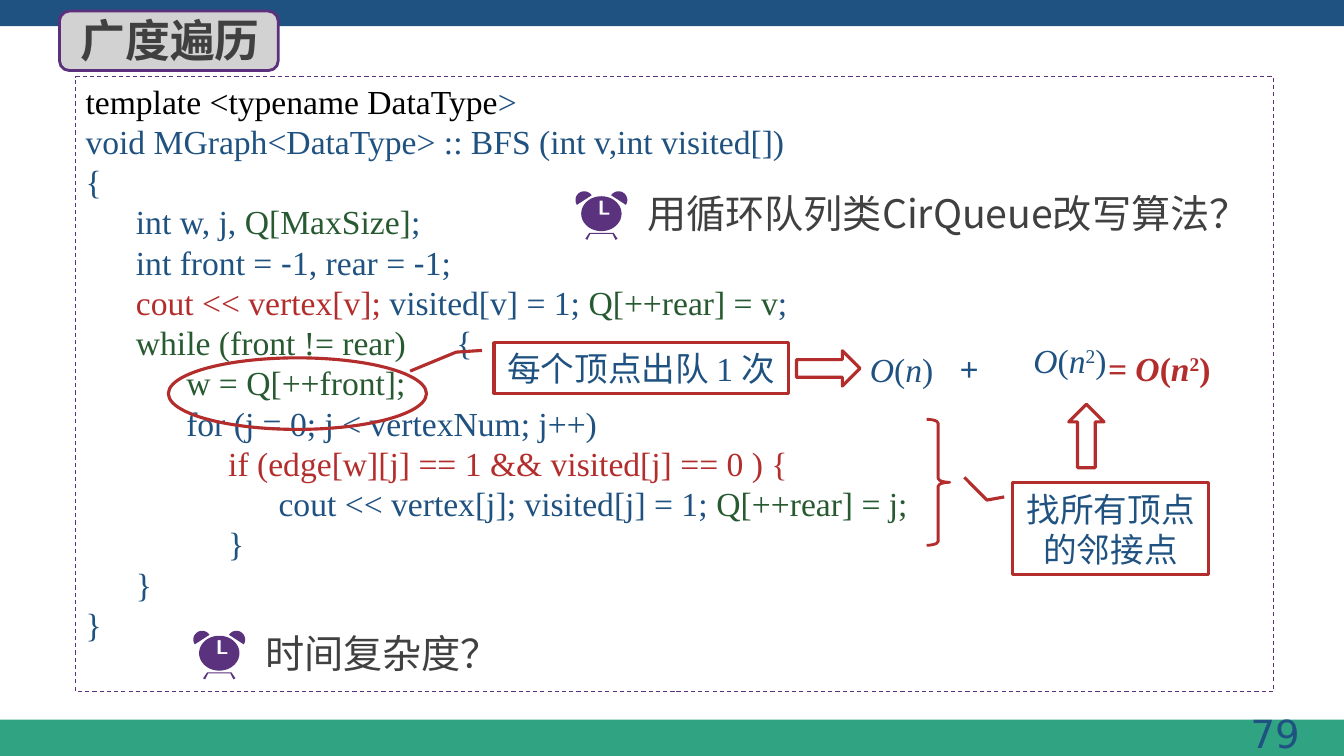
from math import cos, radians, sin

from pptx import Presentation
from pptx import util as u
from pptx.dml.color import RGBColor
from pptx.enum import dml, shapes, text

KIND = shapes.MSO_SHAPE
ALIGN = text.PP_ALIGN
CELL = u.Inches(0.1)  # one column or row of the grid
COLS, ROWS = 133.33, 75


class Theme:
    blue, green, purple = "1F5281", "30A383", "5C307D"
    clock, grey, dark = "5A327D", "D2D2D2", "404040"
    red, leaf, black = "B42D2D", "285A32", "000000"
    serif, sans, digit = "Times New Roman", "Noto Sans CJK SC", "DejaVu Sans"
    code, ask, title, page = 24, 28, 32, 27.6
    pitch = 28.75
    edge = 2.25


class Page:
    """Draws on one slide; boxes are (column, row, columns, rows)."""

    def __init__(self, deck, theme):
        self.theme = theme
        self.slide = deck.slides.add_slide(deck.slide_layouts[6])
        self.items = self.slide.shapes

    def paint(self, shape, fill=None, line=None, width=Theme.edge):
        shape.shadow.inherit = False
        if fill:
            shape.fill.solid()
            shape.fill.fore_color.rgb = RGBColor.from_string(fill)
        else:
            shape.fill.background()
        if line:
            shape.line.color.rgb = RGBColor.from_string(line)
            shape.line.width = u.Pt(width)
        else:
            shape.line.fill.background()
        return shape

    def shape(self, kind, box, fill=None, line=None, width=Theme.edge,
              adjust=()):
        item = self.items.add_shape(kind, *(round(n * CELL) for n in box))
        for i, value in enumerate(adjust):
            item.adjustments[i] = value
        return self.paint(item, fill, line, width)

    def label(self, box, lines, **style):
        item = self.items.add_textbox(*(round(n * CELL) for n in box))
        self.letter(item, lines, **style)

    def letter(self, shape, lines, size=Theme.code, face=Theme.serif,
               color=Theme.blue, bold=False, align=ALIGN.LEFT, pitch=None,
               inset=(1, 0.5, 1, 0.5), anchor=text.MSO_ANCHOR.MIDDLE):
        """Put text in a shape; a line is a list of (words, changes) runs."""
        frame = shape.text_frame
        frame.word_wrap = True
        frame.vertical_anchor = anchor
        (frame.margin_left, frame.margin_top, frame.margin_right,
         frame.margin_bottom) = (round(n * CELL) for n in inset)
        for i, line in enumerate(lines):
            para = frame.add_paragraph() if i else frame.paragraphs[0]
            para.alignment = align
            if pitch:
                para.line_spacing = u.Pt(pitch)
            para.font.name, para.font.size = face, u.Pt(size)
            para.font.bold = bold
            para.font.color.rgb = RGBColor.from_string(color)
            for words, change in line:
                run = para.add_run()
                run.text = words
                self.style(run.font, **change)

    def style(self, font, color=None, italic=None, face=None, lift=False):
        if color:
            font.color.rgb = RGBColor.from_string(color)
        if italic:
            font.italic = True
        if face:
            font.name = face
        if lift:
            font._element.set("baseline", "30000")

    def outline(self, *rings, fill):
        """Fill closed rings of grid points; inner rings are holes."""
        rings = [[(round(x * CELL), round(y * CELL)) for x, y in ring]
                 for ring in rings]
        pen = self.items.build_freeform(*rings[0][0], scale=1.0)
        pen.add_line_segments(rings[0][1:])
        for ring in rings[1:]:
            pen.move_to(*ring[0])
            pen.add_line_segments(ring[1:])
        self.paint(pen.convert_to_shape(), fill)

    def clock(self, mid, top):
        def place(points, side=1):
            return [(mid + side * x, top + y) for x, y in points]

        def arc(x, y, wide, high, start, end):
            return [(x + wide * cos(radians(a)), y + high * sin(radians(a)))
                    for a in range(start, end, 6)]

        feet = [(-1.6, 4.7), (-1.2, 4.1), (1.2, 4.1), (1.6, 4.7),
                (1.4, 4.8), (1.1, 4.2), (-1.1, 4.2), (-1.4, 4.8)]
        hands = [(-0.17, 0.9), (0.13, 0.9), (0.13, 2.1), (0.8, 2.1),
                 (0.8, 2.3), (-0.17, 2.3)]
        ink = self.theme.clock
        self.outline(place(feet), fill=ink)
        for side in (1, -1):
            self.outline(place(arc(-1.7, 0.85, 0.87, 0.87, 147, 328), side),
                         fill=ink)
        self.outline(place(arc(0, 2.2, 2, 1.73, 0, 360)), place(hands),
                     fill=ink)


def main():
    t = Theme
    deck = Presentation()
    deck.slide_width, deck.slide_height = u.Inches(13.33), u.Inches(7.5)
    page = Page(deck, t)

    def plain(words):
        return [(words, {})]

    def order(head, *power):
        """Runs of a complexity such as O(n)."""
        return [(head, {"italic": True}), ("(", {}), ("n", {"italic": True}),
                *[(p, {"lift": True}) for p in power], (")", {})]

    leaf, red, black = ({"color": c} for c in (t.leaf, t.red, t.black))
    minus = ("-", {"face": "Arial"})
    code = [
        [("template <typename DataType", black), (">", {})],
        plain("void MGraph<DataType> :: BFS (int v,int visited[])"),
        plain("{"),
        [("      int w, j, ", {}), ("Q[MaxSize]", leaf), (";", {})],
        [("      int front = ", {}), minus, ("1, rear = ", {}), minus,
         ("1;", {})],
        [("      cout << vertex[v]; ", red), ("visited[v] = 1; ", {}),
         ("Q[++rear] = v", leaf), (";", {})],
        [("      while (front != rear)      ", leaf), ("{", {})],
        [("            w = Q[++front];", leaf)],
        plain("            for (j = 0; j < vertexNum; j++)"),
        [("                 if (edge[w][j] == 1 && visited[j] == 0 ) {", red)],
        [("                       cout << vertex[j]; visited[j] = 1; ", {}),
         ("Q[++rear] = j;", leaf)],
        plain("                 }"),
        plain("      }"),
        plain("}"),
    ]

    page.shape(KIND.RECTANGLE, (0, 71.4, COLS, ROWS - 71.4), t.green)
    page.shape(KIND.RECTANGLE, (0, 0, COLS, 2.6), t.blue)
    page.label((100.5, 69.9, 29.4, 5.7), [plain("79")], size=t.page,
               face=t.digit, align=ALIGN.RIGHT)
    page.shape(KIND.ROUNDED_RECTANGLE, (5.9, 1.1, 21.7, 5.9), t.grey,
               t.purple, 2)
    page.label((7, 0.7, 20.2, 6.4), [plain("广度遍历")], size=t.title,
               face=t.sans, color=t.dark, bold=True)

    panel = page.shape(KIND.RECTANGLE, (7.5, 7.6, 118.8, 61), None,
                       t.purple, 0.75)
    panel.line.dash_style = dml.MSO_LINE.DASH
    page.letter(panel, code, pitch=t.pitch, inset=(1, 0.4, 1, 0),
                anchor=text.MSO_ANCHOR.TOP)

    for words, left, top in (("用循环队列类CirQueue改写算法？", 63.2, 18.3),
                             ("时间复杂度？", 25.3, 61.9)):
        page.label((left, top, 63.9, 5.7), [plain(words)], size=t.ask,
                   face=t.sans, color=t.dark)
        page.clock(left - 3.55, top + 0.7)

    bend = (0.154, -0.041, 0.188, -0.129)
    for box, tip, lines in (
            ((49, 34, 29.2, 5), (0.564, -0.285), ["每个顶点出队 1 次"]),
            ((100.4, 47.9, 19.5, 9.1), (-0.06, -0.244),
             ["找所有顶点", "的邻接点"])):
        note = page.shape(KIND.LINE_CALLOUT_2, box, None, t.red, t.edge,
                          bend + tip)
        page.letter(note, [plain(words) for words in lines],
                    align=ALIGN.CENTER, inset=(0, 0.5, 0, 0.5))

    page.shape(KIND.OVAL, (16.7, 35.5, 25.6, 7.1), None, t.red)
    page.shape(KIND.RIGHT_BRACE, (91.9, 41.6, 2.3, 12.5), None, t.red, 2,
               (0.168, 0.5))
    for left, top, turn in ((79, 34.8, 0), (104.6, 41.5, 270)):
        arrow = page.shape(KIND.RIGHT_ARROW, (left, top, 6.3, 3.5), None,
                           t.red)
        arrow.rotation = turn

    page.label((85.3, 34.1, 10.9, 5), [order("O")])
    page.label((101.5, 33.2, 10.9, 5), [order("O", "2")])
    page.label((94.2, 34, 6.2, 5), [plain("+")], bold=True)
    page.label((108.9, 34, 14.8, 5), [order("= O", "2")], color=t.red,
               bold=True)
    deck.save("out.pptx")


if __name__ == "__main__":
    main()
